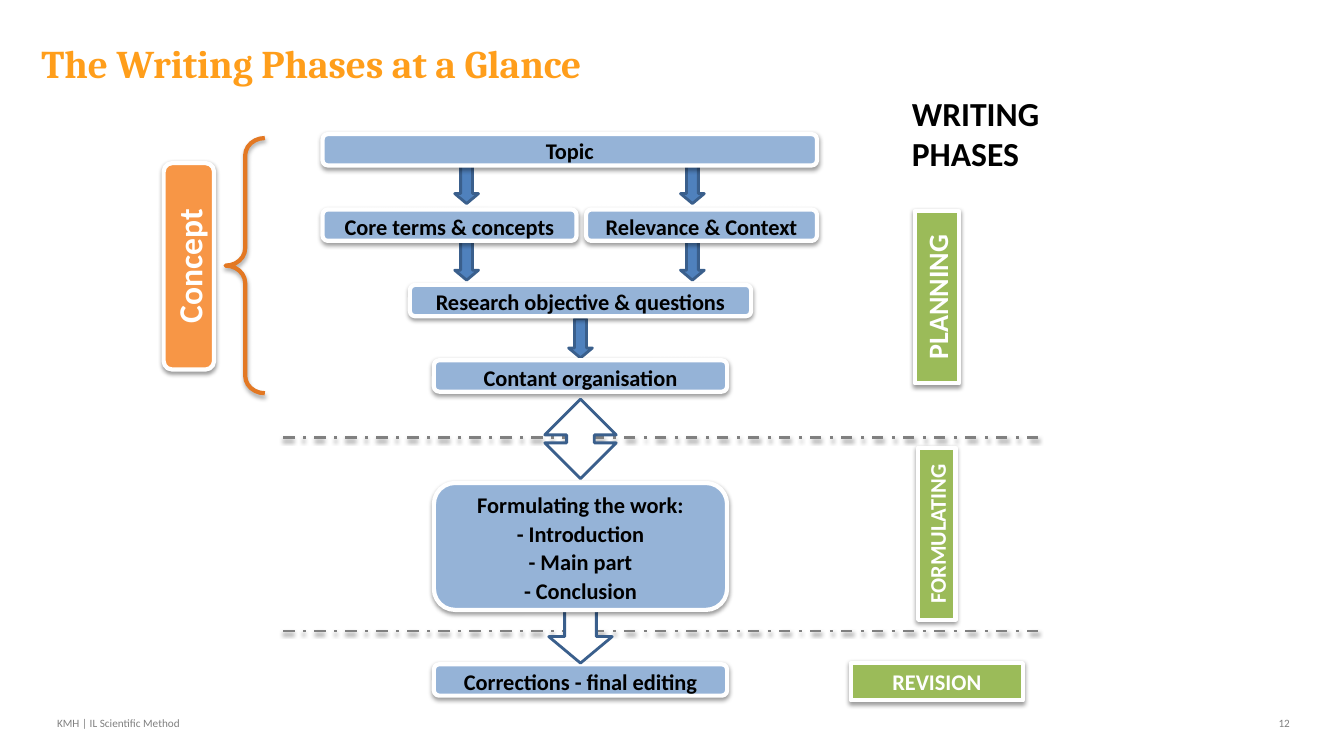
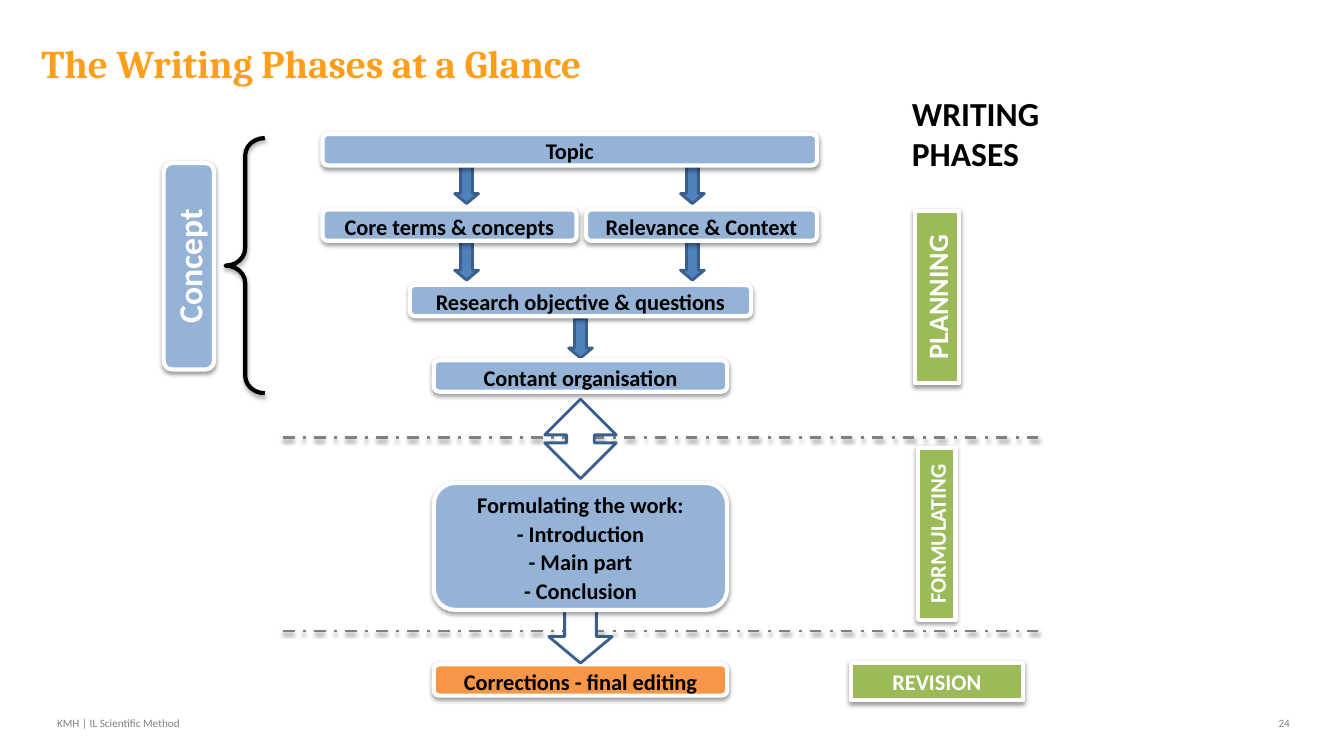
from lxml.etree import SubElement
from pptx import Presentation
from pptx.dml.color import RGBColor
from pptx.enum.dml import MSO_LINE
from pptx.enum.shapes import MSO_CONNECTOR, MSO_SHAPE
from pptx.enum.text import MSO_ANCHOR, MSO_AUTO_SIZE, PP_ALIGN
from pptx.oxml.ns import qn
from pptx.util import Cm, Pt

BLACK = RGBColor(0x00, 0x00, 0x00)
WHITE = RGBColor(0xFF, 0xFF, 0xFF)
GREY = RGBColor(0x80, 0x80, 0x80)
AMBER = RGBColor(0xFF, 0x9E, 0x1B)
ORANGE = RGBColor(0xF7, 0x96, 0x46)
DARK_ORANGE = RGBColor(0xE3, 0x78, 0x23)
LIGHT_BLUE = RGBColor(0x95, 0xB3, 0xD7)
BLUE = RGBColor(0x4F, 0x81, 0xBD)
DARK_BLUE = RGBColor(0x3A, 0x5F, 0x8C)
GREEN = RGBColor(0x9B, 0xBB, 0x59)

BODY_FONT = "Calibri"
TITLE_FONT = "Cambria"

FLOW_CENTRE = 14.63
BRANCH_CENTRES = (11.76, 17.45)
FIRST_ROW = 3.38
ROW_PITCH = 1.9
STEP_HEIGHT = 0.79
STEP_WIDTH = 7.39
PHASE_CENTRE = 23.61
PHASE_WIDTH = 4.34


def write(frame, text, size=16, color=BLACK, bold=True, font=BODY_FONT,
          align=PP_ALIGN.LEFT, anchor=MSO_ANCHOR.TOP, spacing=1.0, gap=0):
    frame.word_wrap = True
    frame.auto_size = MSO_AUTO_SIZE.NONE
    frame.vertical_anchor = anchor
    for index, line in enumerate(text.split("\n")):
        paragraph = frame.paragraphs[0] if index == 0 else frame.add_paragraph()
        paragraph.alignment = align
        paragraph.line_spacing = spacing
        paragraph.space_before = Pt(gap if index else 0)
        run = paragraph.add_run()
        run.text = line
        run.font.name = font
        run.font.size = Pt(size)
        run.font.bold = bold
        run.font.color.rgb = color


def cast_shadow(shape, opacity=38, distance=1.57):
    properties = shape._element.spPr
    effects = properties.find(qn("a:effectLst"))
    if effects is None:
        effects = SubElement(properties, qn("a:effectLst"))
    shadow = SubElement(effects, qn("a:outerShdw"), blurRad=str(Pt(3.15)),
                        dist=str(Pt(distance)), dir="5400000", rotWithShape="0")
    tint = SubElement(shadow, qn("a:srgbClr"), val=str(BLACK))
    SubElement(tint, qn("a:alpha"), val=str(opacity * 1000))


def add_figure(slide, preset, centre, top, width, height, fill, line, weight, adjust=()):
    figure = slide.shapes.add_shape(
        preset, Cm(centre - width / 2), Cm(top), Cm(width), Cm(height))
    for index, value in enumerate(adjust):
        figure.adjustments[index] = value
    if fill is None:
        figure.fill.background()
    else:
        figure.fill.solid()
        figure.fill.fore_color.rgb = fill
    figure.line.color.rgb = line
    figure.line.width = Pt(weight)
    figure.shadow.inherit = False
    return figure


def add_step(slide, text, centre, top, width=STEP_WIDTH, height=STEP_HEIGHT, fill=LIGHT_BLUE):
    step = add_figure(slide, MSO_SHAPE.ROUNDED_RECTANGLE, centre, top, width, height,
                      fill, WHITE, 3)
    cast_shadow(step)
    write(step.text_frame, text, align=PP_ALIGN.CENTER, spacing=0.9, gap=3.2)


def add_arrow(slide, centre, top, height, width=0.6, fill=BLUE,
              preset=MSO_SHAPE.DOWN_ARROW, head=0.417):
    add_figure(slide, preset, centre, top, width, height, fill, DARK_BLUE, 2, (0.5, head))


def add_tag(slide, text, centre, middle, width, height, size, fill=GREEN,
            preset=MSO_SHAPE.RECTANGLE, upright=True):
    tag = add_figure(slide, preset, centre, middle - height / 2, width, height, fill, WHITE, 3)
    tag.rotation = 270 if upright else 0
    cast_shadow(tag)
    write(tag.text_frame, text, size=size, color=WHITE, align=PP_ALIGN.CENTER,
          anchor=MSO_ANCHOR.MIDDLE)


def add_divider(slide, y):
    divider = slide.shapes.add_connector(
        MSO_CONNECTOR.STRAIGHT, Cm(7.14), Cm(y), Cm(26.19), Cm(y))
    divider.line.color.rgb = GREY
    divider.line.width = Pt(2)
    divider.line.dash_style = MSO_LINE.DASH_DOT
    cast_shadow(divider)


def add_label(slide, text, left, top, width, height, **style):
    label = slide.shapes.add_textbox(Cm(left), Cm(top), Cm(width), Cm(height))
    write(label.text_frame, text, **style)


def add_frame(slide, number):
    write(slide.shapes.title.text_frame, "The Writing Phases at a Glance",
          size=28, color=AMBER, font=TITLE_FONT)
    footer = {"size": 8, "color": GREY, "bold": False}
    add_label(slide, "KMH | IL Scientific Method", 1.19, 17.93, 10.13, 0.61, **footer)
    add_label(slide, number, 31.34, 17.93, 1.42, 0.61, align=PP_ALIGN.RIGHT, **footer)


def add_workflow(slide, corrections_fill):
    rows = [FIRST_ROW + ROW_PITCH * index for index in range(4)]
    for centre in BRANCH_CENTRES:
        add_arrow(slide, centre, 3.96, 1.17)
        add_arrow(slide, centre, 6.07, 0.99)
    add_arrow(slide, FLOW_CENTRE, 8.03, 0.99)

    add_step(slide, "Topic", 14.36, rows[0], 12.46)
    add_step(slide, "Core terms & concepts", 11.33, rows[1], 6.4)
    add_step(slide, "Relevance & Context", 17.68, rows[1], 5.82)
    add_step(slide, "Research objective & questions", FLOW_CENTRE, rows[2], 8.6)
    add_step(slide, "Contant organisation", FLOW_CENTRE, rows[3])
    add_step(slide, "Corrections - final editing", FLOW_CENTRE, 16.74, fill=corrections_fill)

    for y in (11.02, 15.9):
        add_divider(slide, y)
    add_arrow(slide, FLOW_CENTRE, 10.06, 2, 1.8, WHITE, MSO_SHAPE.UP_DOWN_ARROW, 0.387)
    add_arrow(slide, FLOW_CENTRE, 14.71, 2, 1.6, WHITE)
    add_step(slide, "Formulating the work:\n- Introduction\n- Main part\n- Conclusion",
             FLOW_CENTRE, 12.17, height=3.2)


def add_phases(slide):
    add_label(slide, "WRITING PHASES", 22.73, 2.21, 5.28, 2.31, size=24)
    add_tag(slide, "PLANNING", PHASE_CENTRE, 7.49, PHASE_WIDTH, 1.12, 20)
    add_tag(slide, "FORMULATING", PHASE_CENTRE, 13.45, PHASE_WIDTH, 0.94, 16)
    add_tag(slide, "REVISION", PHASE_CENTRE, 17.18, PHASE_WIDTH, 0.94, 16, upright=False)


def add_concept(slide, fill, brace_color):
    brace = add_figure(slide, MSO_SHAPE.LEFT_BRACE, 6.18, 3.48, 0.99, 6.43,
                       None, brace_color, 3, (0.444, 0.5))
    cast_shadow(brace, opacity=35, distance=1.8)
    add_tag(slide, "Concept", 4.76, 6.71, 5.2, 1.27, 24, fill, MSO_SHAPE.ROUNDED_RECTANGLE)


def add_overview(deck, layout, number, concept_fill, brace_color, corrections_fill):
    slide = deck.slides.add_slide(layout)
    add_frame(slide, number)
    add_workflow(slide, corrections_fill)
    add_phases(slide)
    add_concept(slide, concept_fill, brace_color)


def main():
    deck = Presentation()
    deck.slide_width = Cm(33.87)
    deck.slide_height = Cm(19.05)
    layout = deck.slide_layouts.get_by_name("Title Only")
    title = layout.placeholders[0]
    title.left, title.top, title.width, title.height = Cm(0.79), Cm(0.86), Cm(30.86), Cm(1.27)

    add_overview(deck, layout, "12", ORANGE, DARK_ORANGE, LIGHT_BLUE)
    add_overview(deck, layout, "24", LIGHT_BLUE, BLACK, ORANGE)
    deck.save("out.pptx")


if __name__ == "__main__":
    main()
